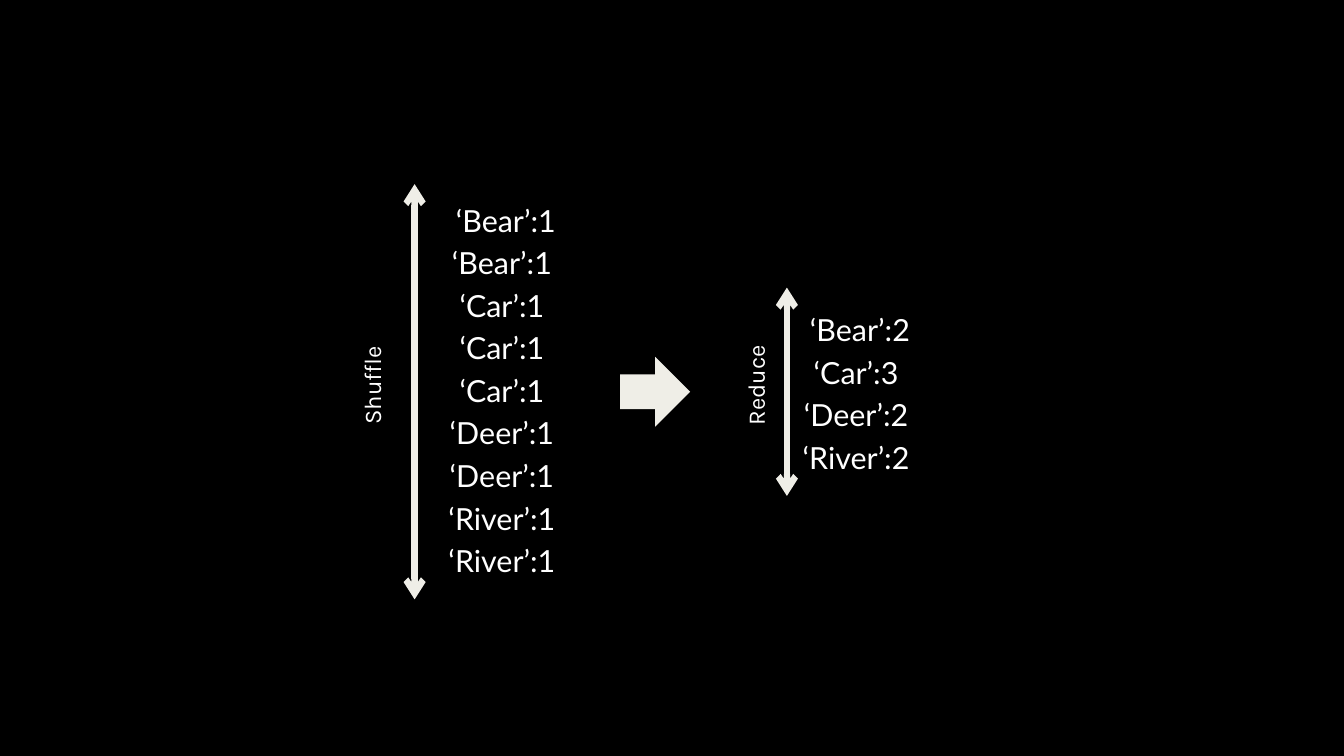
from lxml.etree import SubElement
from pptx import Presentation
from pptx.dml.color import RGBColor
from pptx.enum.shapes import MSO_CONNECTOR as Connector, MSO_SHAPE as Shape
from pptx.enum.text import MSO_ANCHOR as Anchor, MSO_AUTO_SIZE as AutoSize, PP_ALIGN as Align
from pptx.oxml.ns import qn
from pptx.util import Inches, Pt

BLACK = RGBColor(0x00, 0x00, 0x00)
WHITE = RGBColor(0xFF, 0xFF, 0xFF)
IVORY = RGBColor(0xEF, 0xEE, 0xE7)

COLS, ROWS = 20, 11.25
MIDDLE = 5.83  # row on which the axes and the arrow are centred
TWO_CONTENT = 3

# label, label column, axis column, half axis, list column, list top, entries
PHASES = [
    ("Shuffle", 5.48, 6.17, 3.09, 7.47, 2.91,
     [" ‘Bear’:1", "‘Bear’:1", "‘Car’:1", "‘Car’:1", "‘Car’:1",
      "‘Deer’:1", "‘Deer’:1", "‘River’:1", "‘River’:1"]),
    ("Reduce", 11.19, 11.71, 1.55, 12.74, 4.54,
     [" ‘Bear’:2", "‘Car’:3", "‘Deer’:2", "‘River’:2"]),
]


class Deck:
    """Holds the style and the current slide; lengths are grid columns and rows."""

    def __init__(self):
        self.prs = Presentation()
        self.prs.slide_width, self.prs.slide_height = Inches(COLS), Inches(ROWS)
        self.col = self.prs.slide_width / COLS
        self.row = self.prs.slide_height / ROWS

    def add_slide(self):
        self.s = self.prs.slides.add_slide(self.prs.slide_layouts[TWO_CONTENT])
        fill = self.s.background.fill
        fill.solid()
        fill.fore_color.rgb = BLACK
        title, *self.bodies = self.s.placeholders
        title.element.getparent().remove(title.element)

    def box(self, x, y, w, h):
        return [int(v) for v in (x * self.col, y * self.row, w * self.col, h * self.row)]

    def set_text(self, sp, lines, font, size, leading):
        tf = sp.text_frame
        tf.text = "\n".join(lines)
        tf.word_wrap = True
        tf.auto_size = AutoSize.SHAPE_TO_FIT_TEXT
        tf.vertical_anchor = Anchor.TOP
        tf.margin_left = tf.margin_right = tf.margin_top = tf.margin_bottom = 0
        for p in tf.paragraphs:
            p.alignment = Align.CENTER
            p.line_spacing = Pt(leading)
            p.space_before = p.space_after = Pt(0)
            for r in p.runs:
                r.font.name, r.font.size = font, Pt(size)
                r.font.color.rgb = WHITE

    def entries(self, center, top, lines):
        sp = self.bodies.pop(0)
        sp.left, sp.top, sp.width, sp.height = self.box(
            center - 1.97, top, 3.94, 0.63 * len(lines))
        self.set_text(sp, lines, "Lato", 32.6, 45.6)
        for p in sp.text_frame.paragraphs:
            pPr = p._p.get_or_add_pPr()
            pPr.set("marL", "0")
            pPr.set("indent", "0")
            SubElement(pPr, qn("a:buNone"))

    def label(self, center, text):
        w, h = 1.34, 0.47
        sp = self.s.shapes.add_textbox(*self.box(center - w / 2, 5.5, w, h))
        sp.rotation = 270
        self.set_text(sp, [text], "Karla", 25.6, 35.9)

    def axis(self, x, half):
        """Draw a vertical line with an arrowhead at both ends."""
        x, top, _, height = self.box(x, MIDDLE - half, 0, 2 * half)
        line = self.s.shapes.add_connector(Connector.STRAIGHT, x, top, x, top + height)
        line.line.color.rgb = IVORY
        line.line.width = Pt(6.75)
        ln = line.line._get_or_add_ln()
        for end in ("a:headEnd", "a:tailEnd"):
            SubElement(ln, qn(end), type="arrow")
        SubElement(line._element.spPr, qn("a:effectLst"))

    def arrow(self, x, size):
        sp = self.s.shapes.add_shape(
            Shape.RIGHT_ARROW, *self.box(x, MIDDLE - size / 2, size, size))
        sp.shadow.inherit = False
        sp.fill.solid()
        sp.fill.fore_color.rgb = IVORY
        sp.line.fill.background()


def main():
    deck = Deck()
    deck.add_slide()
    deck.arrow(9.23, 1.04)
    for name, label_x, axis_x, half, list_x, top, lines in PHASES:
        deck.entries(list_x, top, lines)
        deck.axis(axis_x, half)
        deck.label(label_x, name)
    deck.prs.save("out.pptx")


if __name__ == "__main__":
    main()
